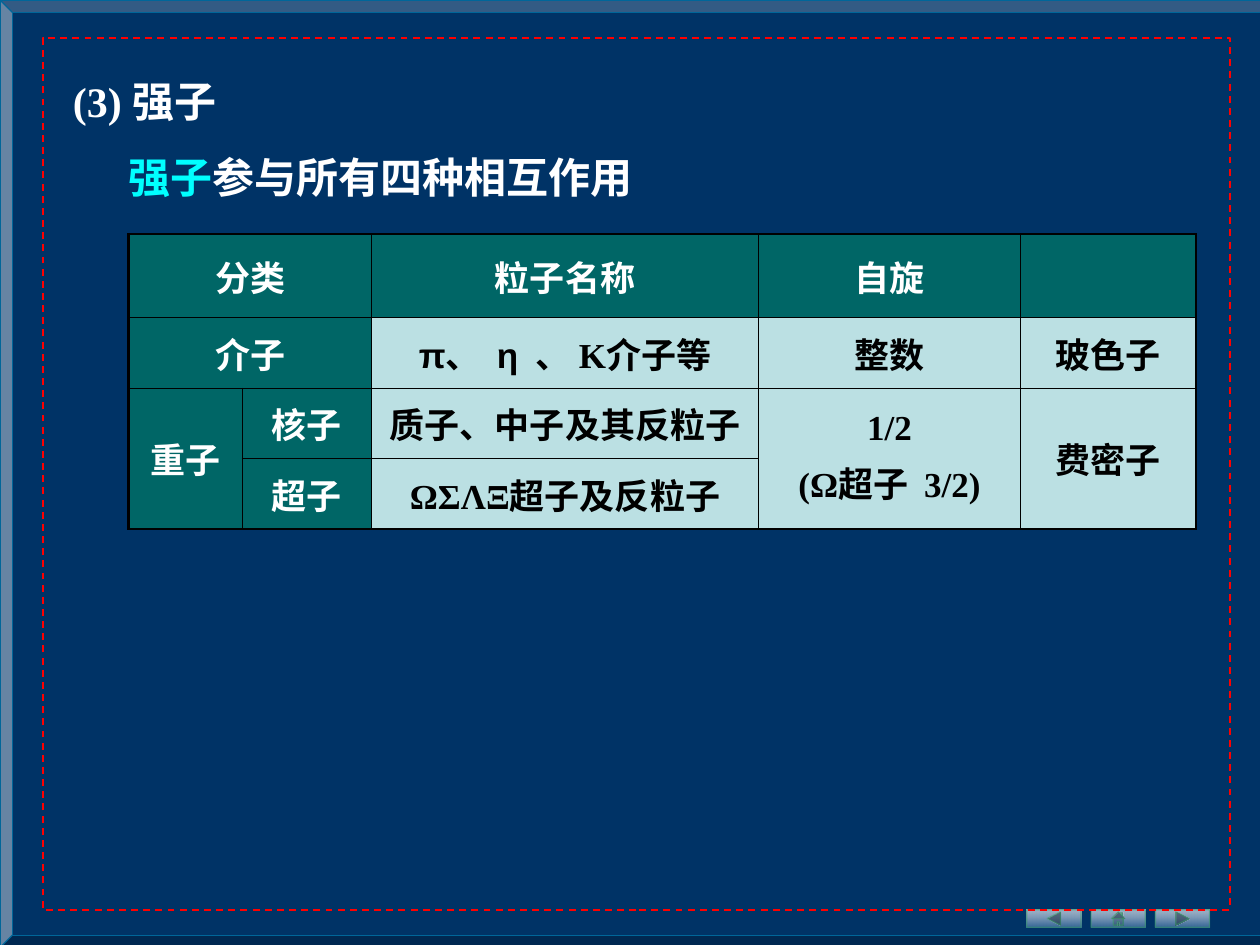
import pptx
import pptx.util
import pptx.dml.color
import pptx.enum.dml
import pptx.enum.shapes
import pptx.enum.text
import pptx.oxml.ns
from dataclasses import dataclass
from lxml import etree

Inches, Pt = pptx.util.Inches, pptx.util.Pt
RGB = pptx.dml.color.RGBColor.from_string
Shape = pptx.enum.shapes.MSO_SHAPE
Align = pptx.enum.text.PP_ALIGN
Anchor = pptx.enum.text.MSO_ANCHOR
Fit = pptx.enum.text.MSO_AUTO_SIZE
qn = pptx.oxml.ns.qn


@dataclass(frozen=True)
class Theme:
    navy: str = "003366"
    edge: str = "006699"
    red: str = "FF0000"
    steel: str = "336699"
    green: str = "339966"
    head: str = "006666"
    pale: str = "BBE0E3"
    cyan: str = "00FFFF"
    white: str = "FFFFFF"
    black: str = "000000"
    serif: str = "Times New Roman"
    sans: str = "Arial"
    big: int = 24
    body: int = 20
    thick: float = 1.47
    thin: float = 0.45


T = Theme()


def put(obj, vals):
    for key, val in vals.items():
        setattr(obj, key, val)


def fade(color, pct):
    """Make a colour element partly transparent."""
    etree.SubElement(color, qn("a:alpha"), val=str(pct * 1000))


def shape(slide, kind, box, line, width):
    item = slide.shapes.add_shape(kind, *map(Inches, box))
    item.shadow.inherit = False
    item.line.color.rgb = RGB(line)
    item.line.width = Pt(width)
    return item


def write(par, runs, size):
    """Add (text, colour, font) runs to a paragraph."""
    for text, color, face in runs:
        run = par.add_run()
        run.text = text
        put(run.font, {"size": Pt(size), "bold": True, "name": face})
        run.font.color.rgb = RGB(color)


def frame(slide, box):
    """Bevelled backdrop over the whole slide."""
    item = shape(slide, Shape.BEVEL, box, T.edge, 0.75)
    item.adjustments[0] = 0.013
    item.fill.solid()
    item.fill.fore_color.rgb = RGB(T.navy)


def border(slide, box):
    """Dashed outline."""
    item = shape(slide, Shape.RECTANGLE, box, T.red, 1)
    item.fill.background()
    item.line.dash_style = pptx.enum.dml.MSO_LINE.DASH


def buttons(slide, box):
    """Row of navigation buttons with equal gaps."""
    left, top, width, height = box
    kinds = (Shape.ACTION_BUTTON_BACK_OR_PREVIOUS, Shape.ACTION_BUTTON_HOME,
             Shape.ACTION_BUTTON_FORWARD_OR_NEXT)
    wide = 0.43
    step = (width - wide) / (len(kinds) - 1)
    for i, kind in enumerate(kinds):
        item = shape(slide, kind, (left + i * step, top, wide, height),
                     T.green, 0)
        fade(item.line._ln.find(".//" + qn("a:srgbClr")), 52)
        fill = item.fill
        fill.gradient()
        fill.gradient_angle = 270
        looks = ((0, T.white, 62), (1, T.steel, 89))
        for stop, (pos, color, pct) in zip(fill.gradient_stops, looks):
            stop.position = pos
            stop.color.rgb = RGB(color)
        colors = item._element.spPr.findall(
            qn("a:gradFill") + "//" + qn("a:srgbClr"))
        for color, look in zip(colors, looks):
            fade(color, look[2])


def label(slide, box, runs):
    """Heading line."""
    text = slide.shapes.add_textbox(*map(Inches, box)).text_frame
    put(text, {"word_wrap": True, "auto_size": Fit.SHAPE_TO_FIT_TEXT})
    write(text.paragraphs[0], runs, T.big)


def rule(cell, side, width):
    line = etree.SubElement(cell._tc.get_or_add_tcPr(), qn("a:ln" + side),
                            w=str(int(Pt(width))))
    fill = etree.SubElement(line, qn("a:solidFill"))
    etree.SubElement(fill, qn("a:srgbClr"), val=T.black)


def chart(slide, box):
    """Table of hadron classes."""
    cols = (0.9, 1.03, 3.07, 2.08, 1.39)
    rows = (0.66, 0.56, 0.56, 0.56)
    table = slide.shapes.add_table(len(rows), len(cols),
                                   *map(Inches, box)).table
    put(table, {"first_row": False, "horz_banding": False})
    for col, width in zip(table.columns, cols):
        col.width = Inches(width)
    for row, height in zip(table.rows, rows):
        row.height = Inches(height)

    pions = [("π", T.sans), ("、  ", T.serif), ("η", T.sans),
             ("  、 K介子等", T.serif)]
    # row, column, row span, column span, paragraphs
    cells = (
        (0, 0, 1, 2, ["分类"]), (0, 2, 1, 1, ["粒子名称"]),
        (0, 3, 1, 1, ["自旋"]), (0, 4, 1, 1, []),
        (1, 0, 1, 2, ["介子"]), (1, 2, 1, 1, [pions]),
        (1, 3, 1, 1, ["整数"]), (1, 4, 1, 1, ["玻色子"]),
        (2, 0, 2, 1, ["重子"]), (2, 1, 1, 1, ["核子"]),
        (2, 2, 1, 1, ["质子、中子及其反粒子"]),
        (2, 3, 2, 1, ["1/2", "(Ω超子  3/2)"]), (2, 4, 2, 1, ["费密子"]),
        (3, 1, 1, 1, ["超子"]), (3, 2, 1, 1, ["ΩΣΛΞ超子及反粒子"]),
    )
    for top, left, high, wide, lines in cells:
        dark = top == 0 or left < 2
        end, last = top + high, left + wide
        # Thick lines on the outer edge, thin lines inside
        for i in range(top, end):
            for j in range(left, last):
                cell = table.cell(i, j)
                first = (i, j) == (top, left)
                edges = (("L", j == left, left == 0),
                         ("R", first or j == last - 1, last == len(cols)),
                         ("T", i == top, top == 0),
                         ("B", first or i == end - 1, end == len(rows)))
                for side, shown, outer in edges:
                    if shown:
                        rule(cell, side, T.thick if outer else T.thin)
                cell.fill.solid()
                cell.fill.fore_color.rgb = RGB(T.head if dark else T.pale)
        cell = table.cell(top, left)
        if high * wide > 1:
            cell.merge(table.cell(end - 1, last - 1))
        cell.vertical_anchor = Anchor.MIDDLE
        ink = T.white if dark else T.black
        for n, line in enumerate(lines):
            text = cell.text_frame
            par = text.add_paragraph() if n else text.paragraphs[0]
            par.alignment = Align.CENTER
            if n:
                par.space_before = Pt(5)
            parts = [(line, T.serif)] if isinstance(line, str) else line
            write(par, [(word, ink, face) for word, face in parts], T.body)


def main():
    deck = pptx.Presentation()
    put(deck, {"slide_width": Inches(10), "slide_height": Inches(7.5)})
    slide = deck.slides.add_slide(deck.slide_layouts[6])
    frame(slide, (0, 0, 10.1, 7.52))
    buttons(slide, (8.15, 7.22, 1.45, 0.14))
    border(slide, (0.34, 0.3, 9.42, 6.92))
    chart(slide, (1.02, 1.86, 8.47, 2.34))
    label(slide, (0.48, 0.55, 2.71, 0.5),
          [("(3) 强子", T.white, T.serif)])
    label(slide, (0.92, 1.15, 4.6, 0.5),
          [("强子", T.cyan, T.serif),
           ("参与所有四种相互作用", T.white, T.serif)])
    deck.save("out.pptx")


if __name__ == "__main__":
    main()
